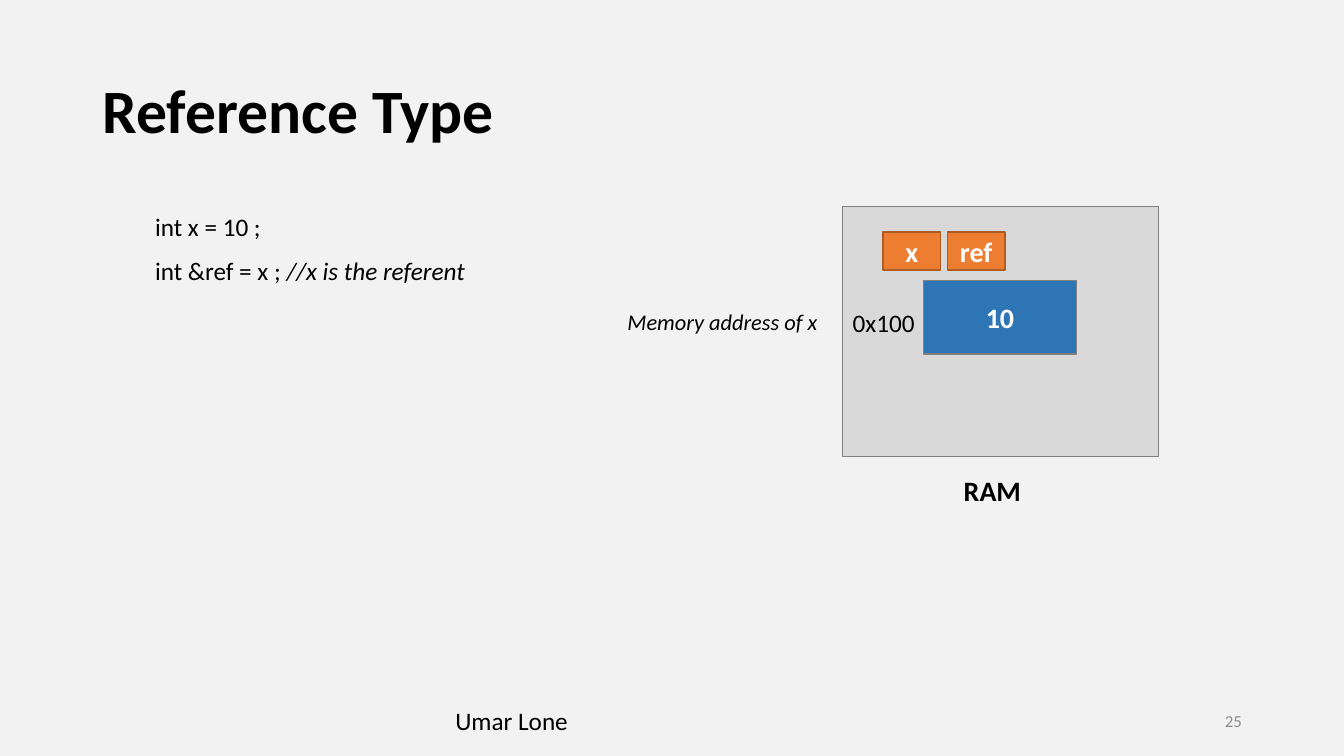
from pptx import Presentation
from pptx.dml.color import RGBColor
from pptx.enum import shapes, text
from pptx.util import Pt

FONT = "Calibri"
BLACK = RGBColor(0x00, 0x00, 0x00)
WHITE = RGBColor(0xFF, 0xFF, 0xFF)
PAGE = RGBColor(0xF2, 0xF2, 0xF2)
PANEL = RGBColor(0xD9, 0xD9, 0xD9)
GRAY = RGBColor(0x80, 0x80, 0x80)
NUMBER = RGBColor(0x8C, 0x8C, 0x8C)
BLUE = RGBColor(0x2E, 0x75, 0xB6)
ORANGE = RGBColor(0xED, 0x7D, 0x31)
BROWN = RGBColor(0xAF, 0x5C, 0x24)
LEFT, CENTER, RIGHT = text.PP_ALIGN.LEFT, text.PP_ALIGN.CENTER, text.PP_ALIGN.RIGHT
TOP, MIDDLE = text.MSO_ANCHOR.TOP, text.MSO_ANCHOR.MIDDLE


def write(sp, content, size=18, color=BLACK, bold=False, italic=False,
          align=LEFT, anchor=TOP, wrap=True, comment=""):
    tf = sp.text_frame
    tf.word_wrap = wrap
    tf.auto_size = text.MSO_AUTO_SIZE.NONE
    tf.vertical_anchor = anchor
    p = tf.paragraphs[0]
    p.alignment = align
    runs = [(content, italic)] + ([(comment, True)] if comment else [])
    for words, slanted in runs:
        r = p.add_run()
        r.text = words
        r.font.name, r.font.size = FONT, Pt(size)
        r.font.bold, r.font.italic = bold, slanted
        r.font.color.rgb = color
    return p


def label(s, x, y, w, h, content, **fmt):
    sp = s.shapes.add_textbox(Pt(x), Pt(y), Pt(w), Pt(h))
    write(sp, content, **fmt)


def block(s, x, y, w, h, fill, line, content=""):
    sp = s.shapes.add_shape(shapes.MSO_SHAPE.RECTANGLE, Pt(x), Pt(y), Pt(w), Pt(h))
    sp.shadow.inherit = False
    sp.fill.solid()
    sp.fill.fore_color.rgb = fill
    sp.line.color.rgb = line
    sp.line.width = Pt(1)
    if content:
        write(sp, content, size=20, color=WHITE, bold=True,
              align=CENTER, anchor=MIDDLE, wrap=False)


def title(s, x, y, w, h):
    sp = s.shapes.title
    sp.left, sp.top, sp.width, sp.height = Pt(x), Pt(y), Pt(w), Pt(h)
    p = write(sp, "Reference Type", size=44, bold=True, anchor=MIDDLE)
    p.line_spacing = 0.9


def code(s, x, y, w):
    label(s, x, y, w, 29, "int x = 10 ;")
    label(s, x, y + 31, w, 29, "int &ref = x ; ", comment="//x is the referent")


def memory(s, x, y, w, h):
    block(s, x, y, w, h, PANEL, GRAY)
    # Both names of the same cell
    for i, name in enumerate(("x", "ref")):
        block(s, x + 28.8 + i * 46, y + 18, 41, 27.4, ORANGE, BROWN, name)
    # Cell and its address
    block(s, x + 57.6, y + 52.6, 109.4, 52.6, BLUE, GRAY, "10")
    label(s, x, y + 69.1, 73.4, 27.4, "0x100", anchor=MIDDLE)
    label(s, x - 178, y + 69.1, 167, 26.6, "Memory address of x",
          size=16, italic=True, align=RIGHT)
    # Caption
    label(s, x + 28.8, y + h + 8.6, 156.2, 31.7, "RAM",
          size=20, bold=True, align=CENTER)


def footer(s, x, y, h):
    label(s, x, y, 324, h, "Umar Lone")
    label(s, x + 360, y, 216, h, "25", size=12, color=NUMBER,
          align=RIGHT, anchor=MIDDLE)


def main():
    prs = Presentation()
    prs.slide_width, prs.slide_height = Pt(960), Pt(540)
    s = prs.slides.add_slide(prs.slide_layouts[5])
    s.background.fill.solid()
    s.background.fill.fore_color.rgb = PAGE
    title(s, 66, 28.8, 828, 104.4)
    code(s, 103.7, 147.6, 272)
    memory(s, 602, 147.6, 225.4, 178.6)
    footer(s, 318.2, 500.4, 28.8)
    prs.save("out.pptx")


if __name__ == "__main__":
    main()
